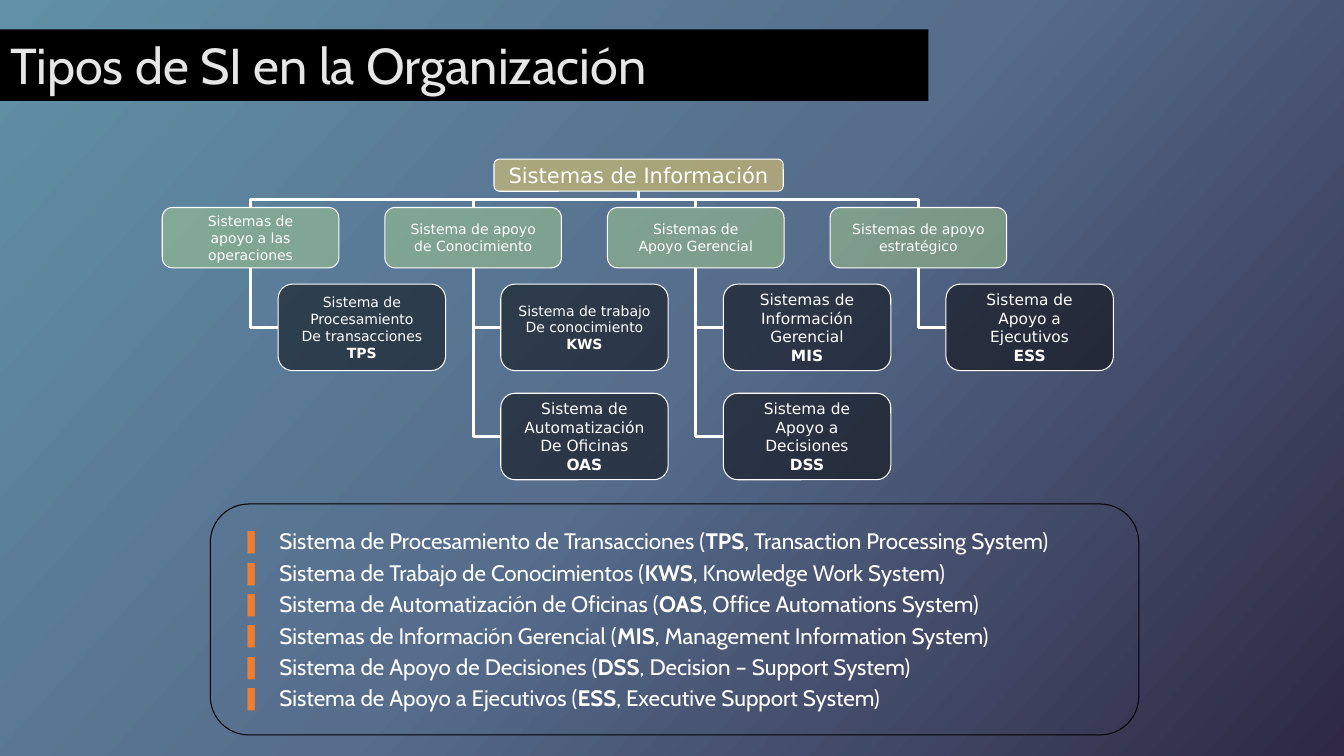
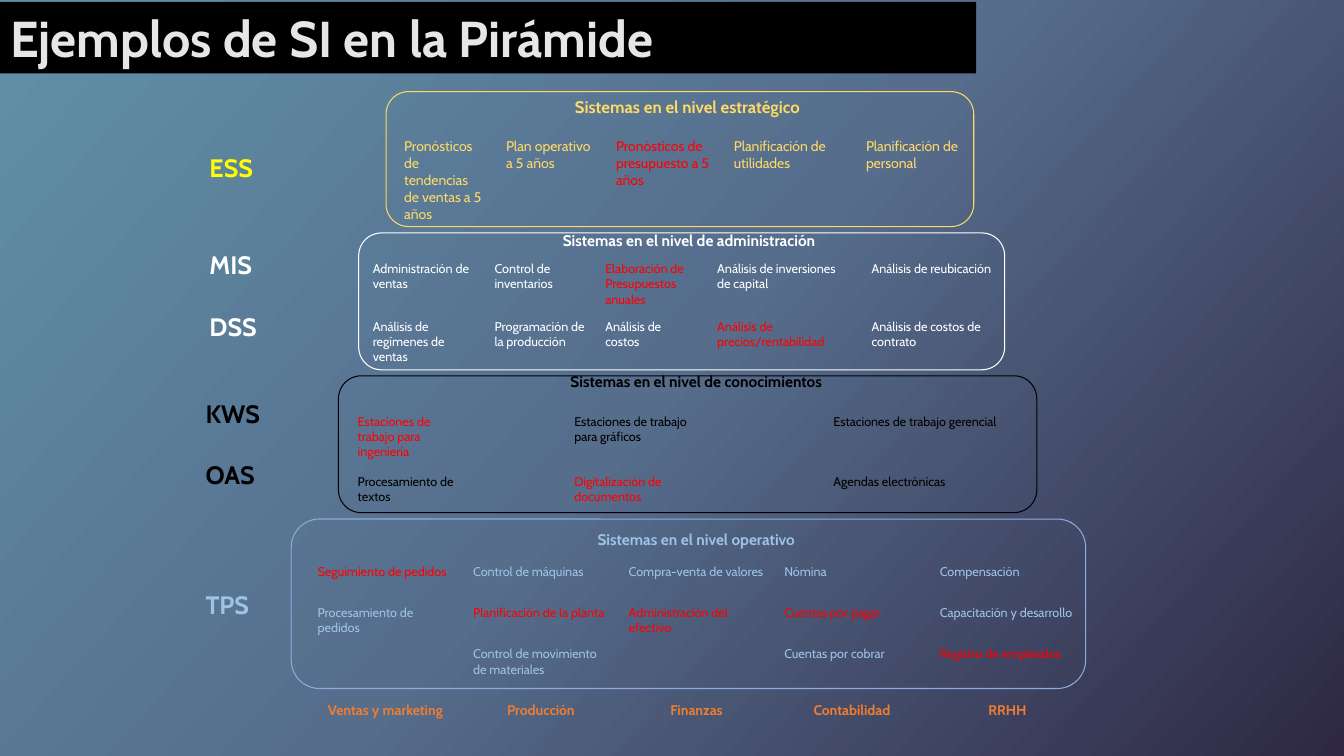
from copy import deepcopy
from dataclasses import dataclass
from itertools import accumulate

from lxml.etree import SubElement
from pptx import Presentation
from pptx.dml.color import RGBColor
from pptx.enum.shapes import MSO_CONNECTOR, MSO_SHAPE
from pptx.enum.text import MSO_ANCHOR, MSO_AUTO_SIZE, PP_ALIGN
from pptx.oxml.ns import qn
from pptx.util import Cm, Pt


@dataclass(frozen=True)
class Theme:
    font: str = "Cabin"
    chart_font: str = "DejaVu Sans"
    gradient: tuple = ((0, "6090A7"), (0.5, "566D8C"), (1, "2E2844"))
    gradient_angle: int = 318
    black: str = "000000"
    white: str = "FFFFFF"
    title: str = "E7E6E6"
    orange: str = "ED7D31"
    gold: str = "FFD966"
    green: str = "A9D18E"
    yellow: str = "FFFF00"
    sky: str = "9DC3E6"
    sky_line: str = "8FAADC"
    red: str = "FF0000"
    title_size: int = 36
    label_size: int = 18
    list_size: int = 16
    root_size: int = 15
    branch_size: int = 10
    area_size: int = 10
    opacity: int = 49000
    outline: float = 0.75
    connector: float = 2.25


THEME = Theme()
NO_STYLE_NO_GRID = "{2D5ABB26-0587-4C30-8999-92F81FD0307C}"


@dataclass(frozen=True)
class Box:
    """A rectangle in centimetres."""
    left: float
    top: float
    width: float
    height: float

    def inner(self, dx, dy, width, height):
        return Box(self.left + dx, self.top + dy, width, height)

    def lengths(self):
        return Cm(self.left), Cm(self.top), Cm(self.width), Cm(self.height)


@dataclass(frozen=True)
class Level:
    heading: str
    labels: tuple
    frame: Box
    label_at: tuple      # left on the slide, offset from the frame top
    table_offset: tuple
    columns: tuple
    heights: tuple
    rows: tuple
    color: str
    line: str
    label_color: str
    heading_size: int = 11
    size: int = 9
    areas: tuple = ()


# Content
BRANCHES = (
    ("Sistemas de\napoyo a las\noperaciones",
     (("Sistema de\nProcesamiento\nDe transacciones\nTPS", 10),)),
    ("Sistema de apoyo\nde Conocimiento",
     (("Sistema de trabajo\nDe conocimiento\nKWS", 10),
      ("Sistema de\nAutomatización\nDe Oficinas\nOAS", 11))),
    ("Sistemas de\nApoyo Gerencial",
     (("Sistemas de\nInformación\nGerencial\nMIS", 11),
      ("Sistema de\nApoyo a\nDecisiones\nDSS", 11))),
    ("Sistemas de apoyo\nestratégico",
     (("Sistema de\nApoyo a\nEjecutivos\nESS", 11),)),
)
ACRONYMS = (
    ("Sistema de Procesamiento de Transacciones", "TPS", "Transaction Processing System"),
    ("Sistema de Trabajo de Conocimientos", "KWS", "Knowledge Work System"),
    ("Sistema de Automatización de Oficinas", "OAS", "Office Automations System"),
    ("Sistemas de Información Gerencial", "MIS", "Management Information System"),
    ("Sistema de Apoyo de Decisiones", "DSS", "Decision – Support System"),
    ("Sistema de Apoyo a Ejecutivos", "ESS", "Executive Support System"),
)
HIGHLIGHTED = {
    "Pronósticos de presupuesto a 5 años", "Elaboración de Presupuestos anuales",
    "Análisis de precios/rentabilidad", "Estaciones de trabajo para ingeniería",
    "Digitalización de documentos", "Seguimiento de pedidos",
    "Planificación de la planta", "Administración del efectivo",
    "Cuentas por pagar", "Registro de empleados",
}
LEVELS = (
    Level("Sistemas en el nivel estratégico", ("ESS",),
          Box(9.73, 2.31, 14.81, 3.4), (5.03, 1.4), (0.2, 0),
          (2.57, 2.77, 2.97, 3.33, 3.15), (1.04, 2.36),
          (("Pronósticos de tendencias de ventas a 5 años", "Plan operativo a 5 años",
            "Pronósticos de presupuesto a 5 años", "Planificación de utilidades",
            "Planificación de personal"),),
          THEME.gold, THEME.gold, THEME.yellow, 12, 10),
    Level("Sistemas en el nivel de administración", ("MIS", "DSS"),
          Box(9.04, 5.87, 16.28, 3.45), (5.03, 0.3), (0.1, -0.15),
          (3.07, 2.79, 2.82, 3.89, 3.89), (0.74, 1.45, 1.45),
          (("Administración de ventas", "Control de inventarios",
            "Elaboración de Presupuestos anuales", "Análisis de inversiones de capital",
            "Análisis de reubicación"),
           ("Análisis de regímenes de ventas", "Programación de la producción",
            "Análisis de costos", "Análisis de precios/rentabilidad",
            "Análisis de costos de contrato")),
          THEME.white, THEME.white, THEME.white),
    Level("Sistemas en el nivel de conocimientos", ("KWS", "OAS"),
          Box(8.53, 9.47, 17.6, 3.45), (4.93, 0.44), (0.23, -0.2),
          (3.2, 2.26, 3.58, 2.95, 5.59), (1.04, 1.52, 1.09),
          (("Estaciones de trabajo para ingeniería", "",
            "Estaciones de trabajo para gráficos", "", "Estaciones de trabajo gerencial"),
           ("Procesamiento de textos", "", "Digitalización de documentos", "",
            "Agendas electrónicas")),
          THEME.black, THEME.black, THEME.black),
    Level("Sistemas en el nivel operativo", ("TPS",),
          Box(7.34, 13.08, 20.02, 4.27), (4.93, 1.65), (0.41, 0.15),
          (3.92,) * 5, (0.86,) + (1.04,) * 4,
          (("Seguimiento de pedidos", "Control de máquinas", "Compra-venta de valores",
            "Nómina", "Compensación"),
           ("Procesamiento de pedidos", "Planificación de la planta",
            "Administración del efectivo", "Cuentas por pagar", "Capacitación y desarrollo"),
           ("", "Control de movimiento de materiales", "", "Cuentas por cobrar",
            "Registro de empleados")),
          THEME.sky, THEME.sky_line, THEME.sky,
          areas=("Ventas y marketing", "Producción", "Finanzas", "Contabilidad", "RRHH")),
)


# Shared helpers
def rgb(color):
    return RGBColor.from_string(color)


def style(paragraph, size, color, bold=False, align=PP_ALIGN.LEFT, font=THEME.font):
    paragraph.alignment = align
    paragraph.font.name = font
    paragraph.font.size = Pt(size)
    paragraph.font.bold = bold
    paragraph.font.color.rgb = rgb(color)


def set_margins(frame, left, top, right, bottom):
    frame.margin_left, frame.margin_top = Cm(left), Cm(top)
    frame.margin_right, frame.margin_bottom = Cm(right), Cm(bottom)


def place(shape, box):
    shape.left, shape.top, shape.width, shape.height = box.lengths()


def outline(shape, color):
    shape.line.color.rgb = rgb(color)
    shape.line.width = Pt(THEME.outline)


def add_rounded(slide, box, line):
    rounded = slide.shapes.add_shape(MSO_SHAPE.ROUNDED_RECTANGLE, *box.lengths())
    rounded.shadow.inherit = False
    rounded.fill.background()
    outline(rounded, line)
    return rounded


def set_background(master):
    fill = master.background.fill
    fill.gradient()
    fill.gradient_angle = THEME.gradient_angle
    stops = master.element.xpath(".//p:bg//a:gsLst")[0]
    stops.append(deepcopy(stops[-1]))
    for stop, (position, color) in zip(fill.gradient_stops, THEME.gradient):
        stop.position = position
        stop.color.rgb = rgb(color)


def set_title(slide, text, box, bold=False):
    title = slide.shapes.title
    place(title, box)
    title.fill.solid()
    title.fill.fore_color.rgb = rgb(THEME.black)
    frame = title.text_frame
    frame.text = text
    frame.auto_size = MSO_AUTO_SIZE.NONE
    frame.vertical_anchor = MSO_ANCHOR.TOP
    style(frame.paragraphs[0], THEME.title_size, THEME.title, bold)


# Organisation chart
def add_node(slide, box, text, size, color, margin=(0.03,) * 4, bold_last=False):
    node = add_rounded(slide, box, THEME.white)
    node.fill.solid()
    node.fill.fore_color.rgb = rgb(color)
    tint = node.element.spPr.find(qn("a:solidFill"))[0]
    SubElement(tint, qn("a:alpha")).set("val", str(THEME.opacity))
    frame = node.text_frame
    frame.text = text
    frame.word_wrap = False
    frame.vertical_anchor = MSO_ANCHOR.MIDDLE
    set_margins(frame, *margin)
    for paragraph in frame.paragraphs:
        style(paragraph, size, THEME.white, align=PP_ALIGN.CENTER, font=THEME.chart_font)
    frame.paragraphs[-1].font.bold = bold_last
    return node


def add_elbow(slide, start, start_site, end, end_site):
    elbow = slide.shapes.add_connector(MSO_CONNECTOR.ELBOW, 0, 0, 0, 0)
    elbow.begin_connect(start, start_site)
    elbow.end_connect(end, end_site)
    elbow.line.color.rgb = rgb(THEME.white)
    elbow.line.width = Pt(THEME.connector)
    SubElement(elbow.element.spPr, qn("a:effectLst"))
    return elbow


def link_branch(slide, root, branch):
    """Leave the root downwards, run sideways, enter the branch from above."""
    elbow = add_elbow(slide, root, 2, branch, 0)
    to_right = elbow.end_x > elbow.begin_x
    left, top, width, height = elbow.left, elbow.top, elbow.width, elbow.height
    elbow.left = left + (width - height) // 2
    elbow.top = top + (height - width) // 2
    elbow.width, elbow.height = height, width
    xfrm = elbow.element.spPr.find(qn("a:xfrm"))
    xfrm.set("rot", "16200000" if to_right else "5400000")
    xfrm.set("flipH", "1" if to_right else "0")
    xfrm.set("flipV", "0")


def link_leaf(slide, leaf, branch):
    elbow = add_elbow(slide, leaf, 1, branch, 2)
    elbow.element.spPr.find(qn("a:prstGeom")).set("prst", "bentConnector2")


def draw_org_chart(slide, box):
    root = add_node(slide, box.inner(8.36, 0, 7.29, 0.81), "Sistemas de Información",
                    THEME.root_size, THEME.gold)
    for column, (name, leaves) in enumerate(BRANCHES):
        x = column * 5.61
        branch = add_node(slide, box.inner(x, 1.22, 4.45, 1.52), name,
                          THEME.branch_size, THEME.green)
        link_branch(slide, root, branch)
        for row, (text, size) in enumerate(leaves):
            leaf = add_node(slide, box.inner(x + 2.92, 3.15 + row * 2.75, 4.22, 2.18), text,
                            size, THEME.black, (0.13, 0.08, 0.13, 0.08), True)
            link_leaf(slide, leaf, branch)


def draw_acronyms(slide, box):
    body = slide.placeholders[1]
    place(body, box)
    geometry = SubElement(body.element.spPr, qn("a:prstGeom"), prst="roundRect")
    SubElement(geometry, qn("a:avLst"))
    outline(body, THEME.black)
    frame = body.text_frame
    frame.word_wrap = True
    frame.auto_size = MSO_AUTO_SIZE.NONE
    frame.vertical_anchor = MSO_ANCHOR.MIDDLE
    set_margins(frame, 0.51, 0.13, 0.25, 0.13)
    for index, (spanish, acronym, english) in enumerate(ACRONYMS):
        item = frame.add_paragraph() if index else frame.paragraphs[0]
        props = item._p.get_or_add_pPr()
        props.set("marL", str(Cm(0.95)))
        props.set("indent", str(-Cm(0.95)))
        bullet_color = SubElement(props, qn("a:buClr"))
        SubElement(bullet_color, qn("a:srgbClr"), val=THEME.orange)
        SubElement(props, qn("a:buChar"), char="❚")
        item.space_before = Pt(3.2 if index else 0)
        style(item, THEME.list_size, THEME.white, align=PP_ALIGN.JUSTIFY)
        for text, bold in ((f"{spanish} (", False), (acronym, True), (f", {english})", False)):
            run = item.add_run()
            run.text = text
            run.font.bold = bold


# Pyramid levels
def draw_labels(slide, level):
    left, dy = level.label_at
    box = Box(left, level.frame.top + dy, 2.2, 1.02 + 1.55 * (len(level.labels) - 1))
    frame = slide.shapes.add_textbox(*box.lengths()).text_frame
    frame.word_wrap = True
    frame.text = "\n".join(level.labels)
    for index, label in enumerate(frame.paragraphs):
        label.space_before = Pt(22 if index else 0)
        style(label, THEME.label_size, level.label_color, True)


def draw_table(slide, level):
    box = level.frame.inner(*level.table_offset, sum(level.columns), sum(level.heights))
    count = len(level.columns)
    table = slide.shapes.add_table(len(level.heights), count, *box.lengths()).table
    table.first_row = table.horz_banding = False
    table._tbl.tblPr.find(qn("a:tableStyleId")).text = NO_STYLE_NO_GRID
    for column, width in zip(table.columns, level.columns):
        column.width = Cm(width)
    for row, height in zip(table.rows, level.heights):
        row.height = Cm(height)
    heading = (level.heading,) + ("",) * (count - 1)
    rows = (heading,) + level.rows + ((level.areas,) if level.areas else ())
    for r, texts in enumerate(rows):
        for c, text in enumerate(texts):
            cell = table.cell(r, c)
            cell.fill.background()
            cell.text = text
            paragraph = cell.text_frame.paragraphs[0]
            if r == 0:
                style(paragraph, level.heading_size, level.color, True, PP_ALIGN.CENTER)
            elif texts is level.areas:
                cell.vertical_anchor = MSO_ANCHOR.BOTTOM
                style(paragraph, THEME.area_size, THEME.orange, True, PP_ALIGN.CENTER)
            else:
                style(paragraph, level.size, THEME.red if text in HIGHLIGHTED else level.color)
    table.cell(0, 0).merge(table.cell(0, count - 1))


# Slides
def build_types(prs):
    slide = prs.slides.add_slide(prs.slide_layouts[1])
    set_title(slide, "Tipos de SI en la Organización", Box(0, 0.74, 23.4, 1.8))
    draw_org_chart(slide, Box(4.09, 4.01, 24.2, 8.1))
    draw_acronyms(slide, Box(5.3, 12.7, 23.4, 5.82))


def build_pyramid(prs):
    slide = prs.slides.add_slide(prs.slide_layouts[5])
    set_title(slide, "Ejemplos de SI en la Pirámide", Box(0, 0.05, 24.6, 1.8), bold=True)
    for level in LEVELS:
        draw_table(slide, level)
        add_rounded(slide, level.frame, level.line)
        draw_labels(slide, level)


def main():
    prs = Presentation()
    prs.slide_width, prs.slide_height = Cm(33.87), Cm(19.05)
    set_background(prs.slide_master)
    build_types(prs)
    build_pyramid(prs)
    prs.save("out.pptx")


if __name__ == "__main__":
    main()
